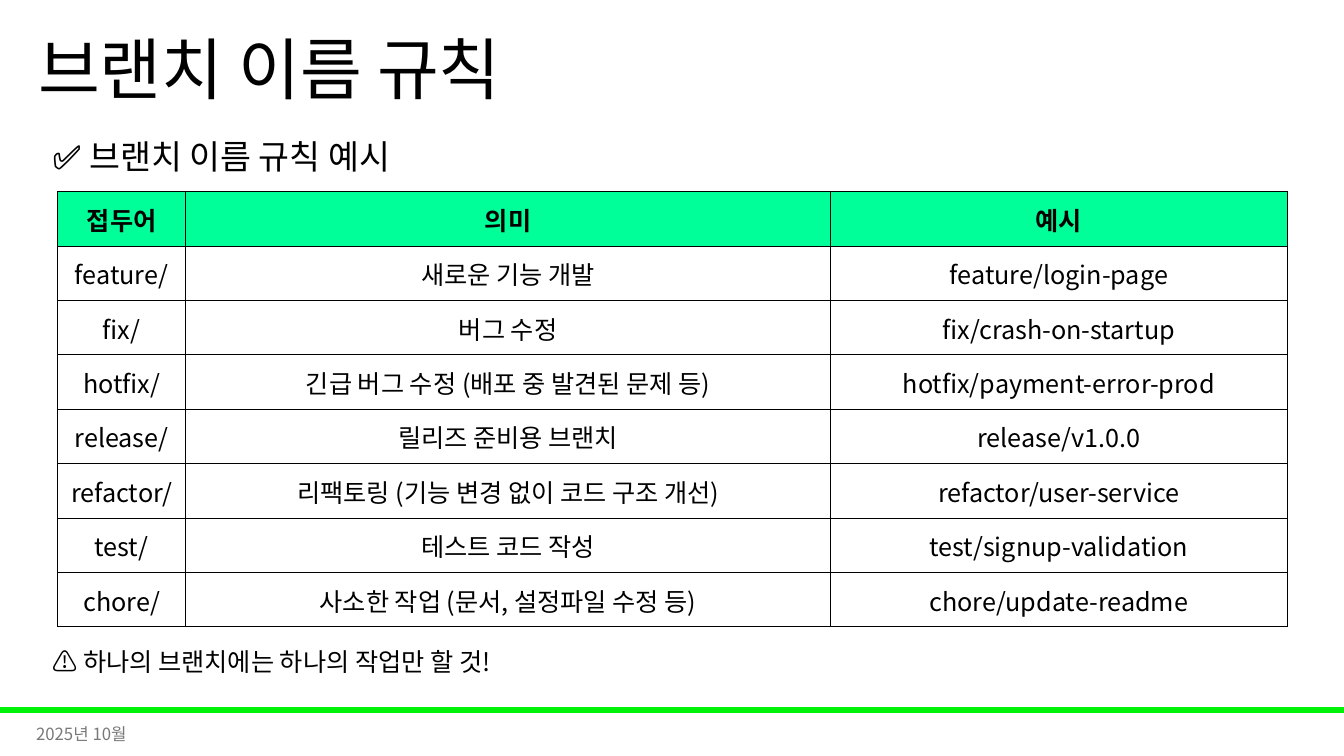
import pptx
import pptx.dml.color
import pptx.enum.shapes
import pptx.enum.text
import pptx.oxml.ns
import pptx.util
from lxml import etree

Cm = pptx.util.Cm
Pt = pptx.util.Pt
RGBColor = pptx.dml.color.RGBColor
Anchor = pptx.enum.text.MSO_ANCHOR
Align = pptx.enum.text.PP_ALIGN
qn = pptx.oxml.ns.qn

BLACK = RGBColor(0x00, 0x00, 0x00)
GRAY = RGBColor(0x79, 0x79, 0x79)
BAR_GREEN = RGBColor(0x00, 0xF2, 0x09)
HEADER_GREEN = RGBColor(0x00, 0xFF, 0x99)
FONT = "Noto Sans CJK KR"

COLUMN_WIDTHS = (3.23, 16.25, 11.51)
ROW_HEIGHT = 1.37
RULES = [
    ("접두어", "의미", "예시"),
    ("feature/", "새로운 기능 개발", "feature/login-page"),
    ("fix/", "버그 수정", "fix/crash-on-startup"),
    ("hotfix/", "긴급 버그 수정 (배포 중 발견된 문제 등)", "hotfix/payment-error-prod"),
    ("release/", "릴리즈 준비용 브랜치", "release/v1.0.0"),
    ("refactor/", "리팩토링 (기능 변경 없이 코드 구조 개선)", "refactor/user-service"),
    ("test/", "테스트 코드 작성", "test/signup-validation"),
    ("chore/", "사소한 작업 (문서, 설정파일 수정 등)", "chore/update-readme"),
]


def add_run(paragraph, text, size, color=BLACK, bold=False):
    run = paragraph.add_run()
    run.text = text
    run.font.size = Pt(size)
    run.font.bold = bold
    run.font.color.rgb = color
    run.font.name = FONT
    east_asian = etree.SubElement(run.font._element, qn("a:ea"))
    east_asian.set("typeface", FONT)


def add_text(slide, box, text, size, color=BLACK, anchor=Anchor.TOP, spacing=1.0):
    frame = slide.shapes.add_textbox(*map(Cm, box)).text_frame
    frame.word_wrap = True
    frame.vertical_anchor = anchor
    paragraph = frame.paragraphs[0]
    paragraph.line_spacing = spacing
    add_run(paragraph, text, size, color)


def add_bar(slide):
    bar = slide.shapes.add_shape(
        pptx.enum.shapes.MSO_SHAPE.RECTANGLE, 0, Cm(17.83), Cm(33.87), Cm(0.13))
    bar.shadow.inherit = False
    bar.fill.solid()
    bar.fill.fore_color.rgb = BAR_GREEN
    bar.line.color.rgb = BAR_GREEN
    bar.line.width = Pt(1)


def add_borders(cell):
    properties = cell._tc.get_or_add_tcPr()
    for side in ("a:lnL", "a:lnR", "a:lnT", "a:lnB"):
        border = etree.SubElement(properties, qn(side), w=str(Pt(0.5)))
        fill = etree.SubElement(border, qn("a:solidFill"))
        etree.SubElement(fill, qn("a:srgbClr"), val=str(BLACK))


def fill_cell(cell, text, is_header):
    add_borders(cell)
    if is_header:
        cell.fill.solid()
        cell.fill.fore_color.rgb = HEADER_GREEN
    else:
        cell.fill.background()
    cell.vertical_anchor = Anchor.MIDDLE
    cell.margin_left = cell.margin_right = cell.margin_top = Cm(0.03)
    cell.margin_bottom = 0
    paragraph = cell.text_frame.paragraphs[0]
    paragraph.alignment = Align.CENTER
    add_run(paragraph, text, 18, bold=is_header)


def add_rules_table(slide):
    table = slide.shapes.add_table(
        len(RULES), len(COLUMN_WIDTHS), Cm(1.45), Cm(4.83),
        Cm(sum(COLUMN_WIDTHS)), Cm(ROW_HEIGHT * len(RULES))).table
    table.first_row = False
    table.horz_banding = False
    for column, width in zip(table.columns, COLUMN_WIDTHS):
        column.width = Cm(width)
    for row_index, (row, texts) in enumerate(zip(table.rows, RULES)):
        row.height = Cm(ROW_HEIGHT)
        for cell, text in zip(row.cells, texts):
            fill_cell(cell, text, row_index == 0)


def main():
    presentation = pptx.Presentation()
    presentation.slide_width = Cm(33.87)
    presentation.slide_height = Cm(19.05)
    slide = presentation.slides.add_slide(presentation.slide_layouts[6])
    add_bar(slide)
    add_text(slide, (0.71, 0, 29.21, 3.68), "브랜치 이름 규칙", 48,
             anchor=Anchor.MIDDLE, spacing=0.9)
    add_text(slide, (1.07, 3.1, 31.78, 1.78), "✅ 브랜치 이름 규칙 예시", 24, spacing=1.2)
    add_rules_table(slide)
    add_text(slide, (1.07, 15.77, 16.99, 1.27),
             "⚠️ 하나의 브랜치에는 하나의 작업만 할 것!", 18, spacing=1.5)
    add_text(slide, (0.66, 17.98, 7.62, 1.02), "2025년 10월", 12, GRAY, Anchor.MIDDLE)
    presentation.save("out.pptx")


if __name__ == "__main__":
    main()
